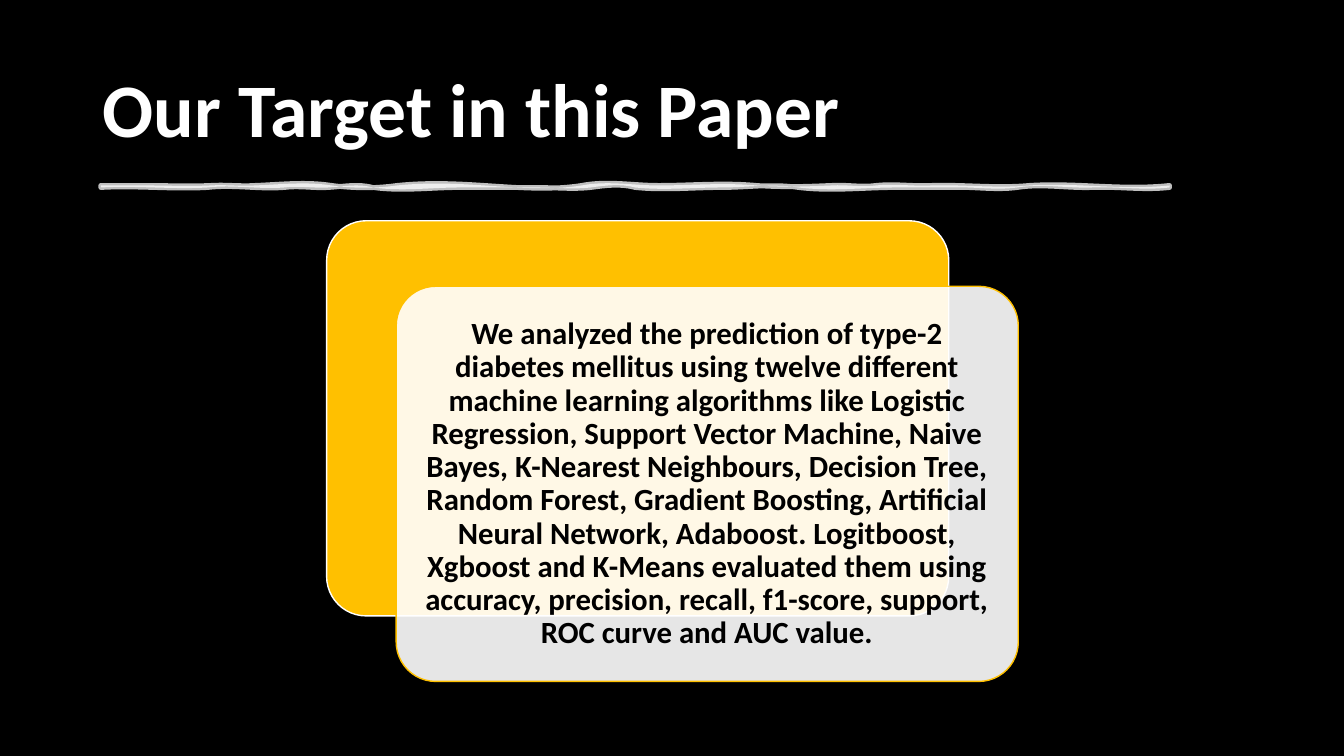
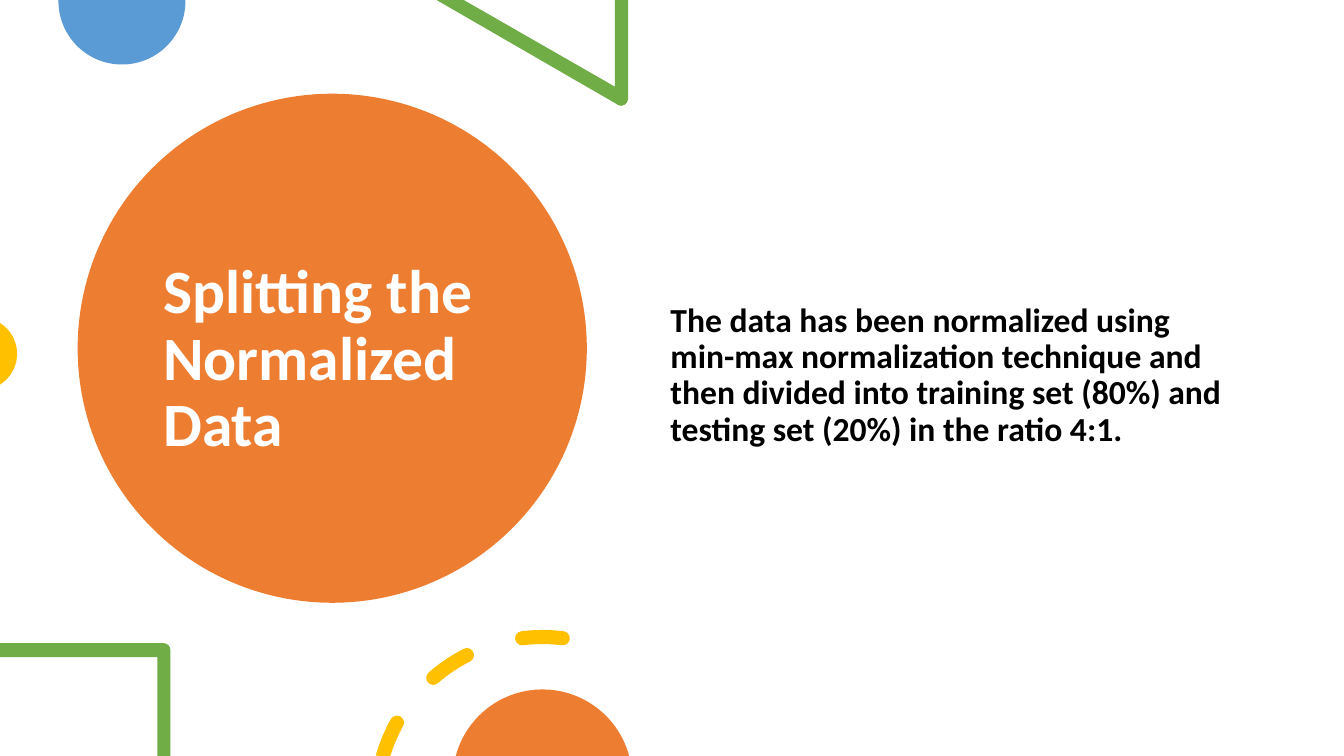
from math import ceil, cos, radians, sin, tan

from pptx import Presentation
from pptx.dml.color import RGBColor
from pptx.enum.shapes import MSO_SHAPE as Kind
from pptx.enum.text import MSO_ANCHOR as Anchor, MSO_AUTO_SIZE as Fit, PP_ALIGN as Align
from pptx.oxml.ns import qn
from pptx.util import Pt

PX = 9144  # 100 px to the inch
WIDE, HIGH = 1333, 750
WHITE, BLACK, AMBER = "FFFFFF", "000000", "FFC000"
ORANGE, BLUE, GREEN = "ED7D31", "5B9BD5", "70AD47"
rgb = RGBColor.from_string


def arc(x, y, r, start, end):
    """Steps of an arc in degrees clockwise: its first point, then Bezier triples."""
    count = ceil(abs(end - start) / 90)
    sweep = radians(end - start) / count
    pull = 4 / 3 * tan(sweep / 4)
    turn = radians(start)
    steps = [[(x + r * cos(turn), y + r * sin(turn))]]
    for _ in range(count):
        stop = turn + sweep
        spots = [(cos(turn) - pull * sin(turn), sin(turn) + pull * cos(turn)),
                 (cos(stop) + pull * sin(stop), sin(stop) - pull * cos(stop)),
                 (cos(stop), sin(stop))]
        steps.append([(x + r * across, y + r * down) for across, down in spots])
        turn = stop
    return steps


def paint(shape, fill, line=None, width=1, alpha=None, fade=()):
    """Fill and outline a shape; fade names the parts ("fill", "line") given alpha percent."""
    shape.shadow.inherit = False
    shape.fill.solid()
    shape.fill.fore_color.rgb = rgb(fill)
    if line:
        shape.line.color.rgb = rgb(line)
        shape.line.width = Pt(width)
    else:
        shape.line.fill.background()
    props = shape.element.spPr
    holds = {"fill": props, "line": props.find(qn("a:ln"))}
    for part in fade:
        tint = holds[part].find(qn("a:solidFill")).find(qn("a:srgbClr"))
        tint.append(tint.makeelement(qn("a:alpha"), {"val": str(alpha * 1000)}))


deck = Presentation()
deck.slide_width, deck.slide_height = WIDE * PX, HIGH * PX
goal = deck.slides.add_slide(deck.slide_layouts[5])
split = deck.slides.add_slide(deck.slide_layouts[1])

# Preset shapes; those marked low lie behind the title
plates = [
    (goal, Kind.RECTANGLE, (0, 0, WIDE, HIGH), True, dict(fill=BLACK)),
    (goal, Kind.ROUNDED_RECTANGLE, (324, 219, 617, 392), False,
     dict(fill=AMBER, line=WHITE)),
    (goal, Kind.ROUNDED_RECTANGLE, (393, 284, 617, 392), False,
     dict(fill=WHITE, line=AMBER, alpha=90, fade=["fill"])),
    (split, Kind.OVAL, (77, 93, 505, 505), True, dict(fill=ORANGE)),
]
for slide, kind, place, low, look in plates:
    plate = slide.shapes.add_shape(kind, *[n * PX for n in place])
    if kind == Kind.ROUNDED_RECTANGLE:
        plate.adjustments[0] = 0.1
    paint(plate, **look)
    if low:
        slide.shapes.title.element.addprevious(plate.element)

# Brush rule: each knot is x and the pull of its two curve handles
upper = [(100, 0, 0), (144, 0, 0), (209, 0, 1), (253, -1, 1), (329, -1, -4),
         (394, 3, 3), (480, -3, -2), (577, 2, 5), (653, -5, 0), (750, 0, -3),
         (825, 2, 1), (869, -1, 2), (924, -2, 1), (1021, -1, 3), (1160, -3, 5)]
lower = [(1160, 0, 0), (1084, 3, -1), (1009, 1, -4), (943, 3, -1), (889, 0, 0),
         (792, 0, 4), (716, -4, 0), (630, 0, 3), (586, -4, -2), (532, 2, 0),
         (456, 0, 0), (370, 0, 4), (326, -4, -1), (282, 1, -2), (206, 2, -3),
         (100, 2, -2)]
brush = []
for base, knots in [(184, upper), (186, lower)]:
    brush.append([(knots[0][0], base)])
    for (x, _, _), (end, one, two) in zip(knots, knots[1:]):
        third = (end - x) / 3
        brush.append([(x + third, base + one), (end - third, base + two), (end, base)])

# Dashes lie on a ring round (538, 797); the first is cut by the slide edge
dashes = []
for start, end, cut in [(196, 209, True), (229, 243, False), (263, 277, False)]:
    tips = [(538 + 165 * cos(radians(a)), 797 + 165 * sin(radians(a)))
            for a in (start, end)]
    dash = arc(538, 797, 172, start, end)
    dash += arc(*tips[1], 7, end, end + 180)[1:]
    dash += arc(538, 797, 158, end, start + cut)[1:]
    if not cut:
        dash += arc(*tips[0], 7, start + 180, start + 360)[1:]
    dashes.append(dash)

ball = [[(184, 0)]] + arc(121, 1, 63, 0, 180) + [[(58, 0)]]
wedge = [[dot] for dot in [(623, 0), (610, 0), (610, 86), (460, 0), (433, 0), (613, 104)]]
wedge += arc(616, 98, 7, 120, 0)
frame = [[(0, 638)]] + arc(162, 645, 7, 270, 360)
frame += [[dot] for dot in [(169, 750), (156, 750), (156, 652), (0, 652)]]

forms = [
    (goal, [brush], dict(fill=WHITE, line=WHITE, width=3.5, alpha=75,
                         fade=["fill", "line"])),
    (split, [ball], dict(fill=BLUE)),
    (split, [wedge], dict(fill=GREEN)),
    (split, [arc(-19, 351, 36, -58, 58)], dict(fill=AMBER)),
    (split, [frame], dict(fill=GREEN)),
    (split, dashes, dict(fill=AMBER)),
    (split, [arc(538, 773, 89, 195, 345)], dict(fill=ORANGE)),
]
for slide, loops, look in forms:
    pen = None
    for loop in loops:
        first, *rest = [(x * PX, y * PX) for step in loop for x, y in step]
        if pen:
            pen.move_to(*first)
        else:
            pen = slide.shapes.build_freeform(*first, scale=1.0)
        pen.add_line_segments(rest, close=True)
    form = pen.convert_to_shape()
    # Join each triple of line steps into one curve
    lines = iter(list(form.element.iter(qn("a:lnTo"))))
    for step in [step for loop in loops for step in loop[1:]]:
        parts = [next(lines) for _ in step]
        if len(parts) == 3:
            curve = parts[0].makeelement(qn("a:cubicBezTo"), {})
            parts[0].addprevious(curve)
            for part in parts:
                curve.append(part[0])
                part.getparent().remove(part)
    paint(form, **look)

# Text
body = split.placeholders[1]
note = goal.shapes.add_textbox(0, 0, PX, PX)
texts = [
    (goal.shapes.title, (92, 40, 1150, 145), "Our Target in this Paper",
     54, WHITE, Align.LEFT, Anchor.MIDDLE, (10, 5)),
    (note, (404, 296, 594, 369),
     "We analyzed the prediction of type-2 diabetes mellitus using twelve different "
     "machine learning algorithms like Logistic Regression, Support Vector Machine, "
     "Naive Bayes, K-Nearest Neighbours, Decision Tree, Random Forest, Gradient "
     "Boosting, Artificial Neural Network, Adaboost. Logitboost, Xgboost and K-Means "
     "evaluated them using accuracy, precision, recall, f1-score, support, ROC curve "
     "and AUC value.",
     22, BLACK, Align.CENTER, Anchor.MIDDLE, (9, 9)),
    (split.shapes.title, (152, 135, 354, 445), "Splitting the Normalized Data",
     44, WHITE, Align.LEFT, Anchor.MIDDLE, (10, 5)),
    (body, (655, 296, 575, 146),
     "The data has been normalized using min-max normalization technique and then "
     "divided into training set (80%) and testing set (20%) in the ratio 4:1.",
     24, BLACK, Align.LEFT, Anchor.TOP, (10, 5)),
]
for shape, place, words, size, ink, align, anchor, (side, edge) in texts:
    for name, value in zip(("left", "top", "width", "height"), place):
        setattr(shape, name, value * PX)
    box = shape.text_frame
    box.text = words
    para = box.paragraphs[0]
    styles = [
        (box, dict(word_wrap=True, auto_size=Fit.NONE, vertical_anchor=anchor,
                   margin_left=side * PX, margin_right=side * PX,
                   margin_top=edge * PX, margin_bottom=edge * PX)),
        (para, dict(alignment=align, line_spacing=0.9, space_before=Pt(0))),
        (para.runs[0].font, dict(name="Calibri", size=Pt(size), bold=True)),
    ]
    for part, values in styles:
        for name, value in values.items():
            setattr(part, name, value)
    para.runs[0].font.color.rgb = rgb(ink)

plain = body.text_frame.paragraphs[0]._p.get_or_add_pPr()
plain.set("marL", "0")
plain.set("indent", "0")
plain.append(plain.makeelement(qn("a:buNone"), {}))

deck.save("out.pptx")
